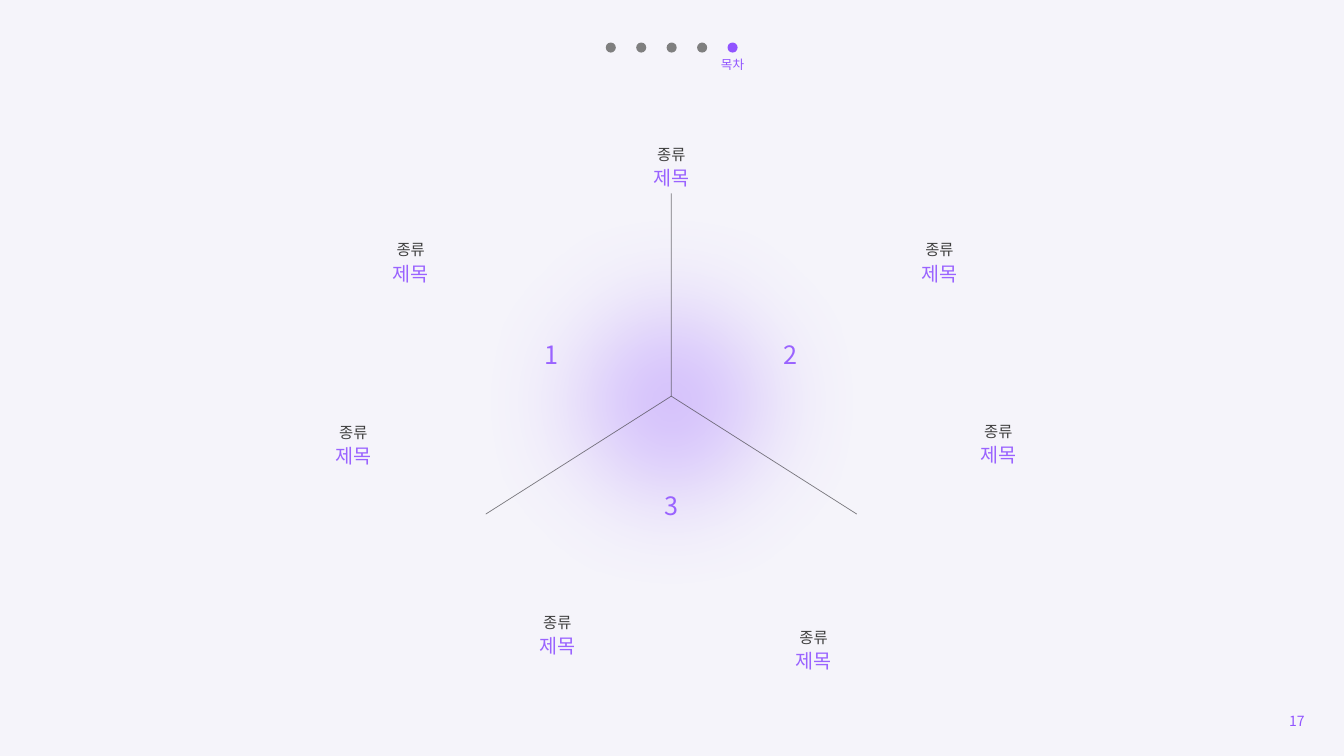
from dataclasses import dataclass
from typing import NamedTuple

from lxml import etree
from pptx import Presentation
from pptx.dml.color import RGBColor
from pptx.enum import shapes, text
from pptx.oxml import ns
from pptx.util import Pt


class Box(NamedTuple):
    """A rectangle in points."""
    left: float
    top: float
    width: float
    height: float


@dataclass(frozen=True)
class Theme:
    """Colours, font and type sizes of the deck."""
    paper: str = "F5F4FA"
    accent: str = "9154FF"
    violet: str = "9A63FF"
    ink: str = "404040"
    line: str = "454449"
    dot: str = "7F7F7F"
    font: str = "Noto Sans CJK KR"
    caption: int = 9
    folio: int = 10
    kind: int = 11
    title: int = 14
    number: int = 18


THEME = Theme()
CENTER = text.PP_ALIGN.CENTER


def add_child(parent, tag, **attributes):
    """Append a DrawingML element and return it."""
    return etree.SubElement(parent, ns.qn(tag), attributes)


def set_opacity(fill_parent, percent):
    """Make the solid fill below an element partly transparent."""
    color = next(fill_parent.iter(ns.qn("a:srgbClr")))
    add_child(color, "a:alpha", val=str(percent * 1000))


def add_text(page, box, lines, align=CENTER, spacing=None, grow=True):
    """Add a text box from (wording, size, colour) lines."""
    shape = page.shapes.add_textbox(*map(Pt, box))
    frame = shape.text_frame
    frame.word_wrap = True
    if grow:
        frame.auto_size = text.MSO_AUTO_SIZE.SHAPE_TO_FIT_TEXT
    else:
        frame.vertical_anchor = text.MSO_ANCHOR.MIDDLE
    for index, (wording, size, color) in enumerate(lines):
        para = frame.add_paragraph() if index else frame.paragraphs[0]
        para.text = wording
        para.alignment = align
        if spacing:
            para.line_spacing = spacing
        para.font.size = Pt(size)
        para.font.color.rgb = RGBColor.from_string(color)
        para.font.name = THEME.font
        properties = para.font._element
        add_child(properties, "a:ea", typeface=THEME.font)
    return shape


def add_circle(page, left, top, size, color):
    """Add a plain filled circle."""
    circle = page.shapes.add_shape(
        shapes.MSO_SHAPE.OVAL, Pt(left), Pt(top), Pt(size), Pt(size))
    circle.shadow.inherit = False
    circle.fill.solid()
    circle.fill.fore_color.rgb = RGBColor.from_string(color)
    circle.line.fill.background()
    return circle


def add_spoke(page, start, end):
    """Add a thin translucent line between two points."""
    spoke = page.shapes.add_connector(
        shapes.MSO_CONNECTOR.STRAIGHT, *map(Pt, (*start, *end)))
    spoke.line.width = Pt(0.5)
    spoke.line.color.rgb = RGBColor.from_string(THEME.line)
    properties = spoke._element.spPr
    set_opacity(properties, 70)
    add_child(properties, "a:effectLst")
    return spoke


def add_progress(page, box, steps=5, size=7.2):
    """Draw the progress dots with a caption under the last one."""
    pitch = (box.width - size) / (steps - 1)
    for step in range(steps):
        color = THEME.accent if step == steps - 1 else THEME.dot
        add_circle(page, box.left + step * pitch, box.top, size, color)
    caption_width = 100
    middle = box.left + box.width - size / 2
    add_text(page, Box(middle - caption_width / 2, box.top + 7, caption_width, 18),
             [("목차", THEME.caption, THEME.accent)])


def add_glow(page, box):
    """Draw the soft-edged circle that fills a box."""
    glow = add_circle(page, box.left, box.top, box.width, THEME.violet)
    properties = glow._element.spPr
    set_opacity(properties, 40)
    effects = properties.find(ns.qn("a:effectLst"))
    add_child(effects, "a:softEdge", rad=str(Pt(80)))


def add_diagram(page, box):
    """Draw the glow, three spokes, numbers and surrounding labels."""
    add_glow(page, Box(box.left + 138, box.top + 18, 341.3, 341.3))
    labels = []
    for x, y, width in ((199.8, 0.6, 217.4), (45, 69, 154.8), (466.2, 198.6, 152),
                        (0.4, 199.4, 162), (426.6, 69, 147), (137.2, 335.4, 180),
                        (331.6, 345.5, 157)):
        labels.append(add_text(
            page, Box(box.left + x, box.top + y, width, 39.5),
            [("종류", THEME.kind, THEME.ink), ("제목", THEME.title, THEME.violet)],
            spacing=1.1))
    for wording, x, y in (("1", 145.8, 139), ("2", 316.4, 139), ("3", 231.5, 246.2)):
        add_text(page, Box(box.left + x, box.top + y, 154.8, 29.5),
                 [(wording, THEME.number, THEME.violet)], spacing=1.1)
    hub_x, hub_y = box.left + 308.5, box.top + 185
    for side, drop in ((-132.5, 84.2), (132.5, 84.2), (0, -145)):
        spoke = add_spoke(page, (hub_x, hub_y), (hub_x + side, hub_y + drop))
        if side == 0:
            spoke.end_connect(labels[0], 2)


def add_folio(page, box):
    """Place the page number at the right of a box."""
    add_text(page, box, [("17", THEME.folio, THEME.accent)],
             align=text.PP_ALIGN.RIGHT, grow=False)


def main():
    """Build the slide and save the deck."""
    deck = Presentation()
    deck.slide_width, deck.slide_height = Pt(960), Pt(540)
    page = deck.slides.add_slide(deck.slide_layouts[6])
    page.background.fill.solid()
    page.background.fill.fore_color.rgb = RGBColor.from_string(THEME.paper)
    add_diagram(page, Box(171, 98, 619, 385))
    add_progress(page, Box(432.7, 30.4, 94.2, 25))
    add_folio(page, Box(723, 500.4, 216, 28.8))
    deck.save("out.pptx")


if __name__ == "__main__":
    main()
